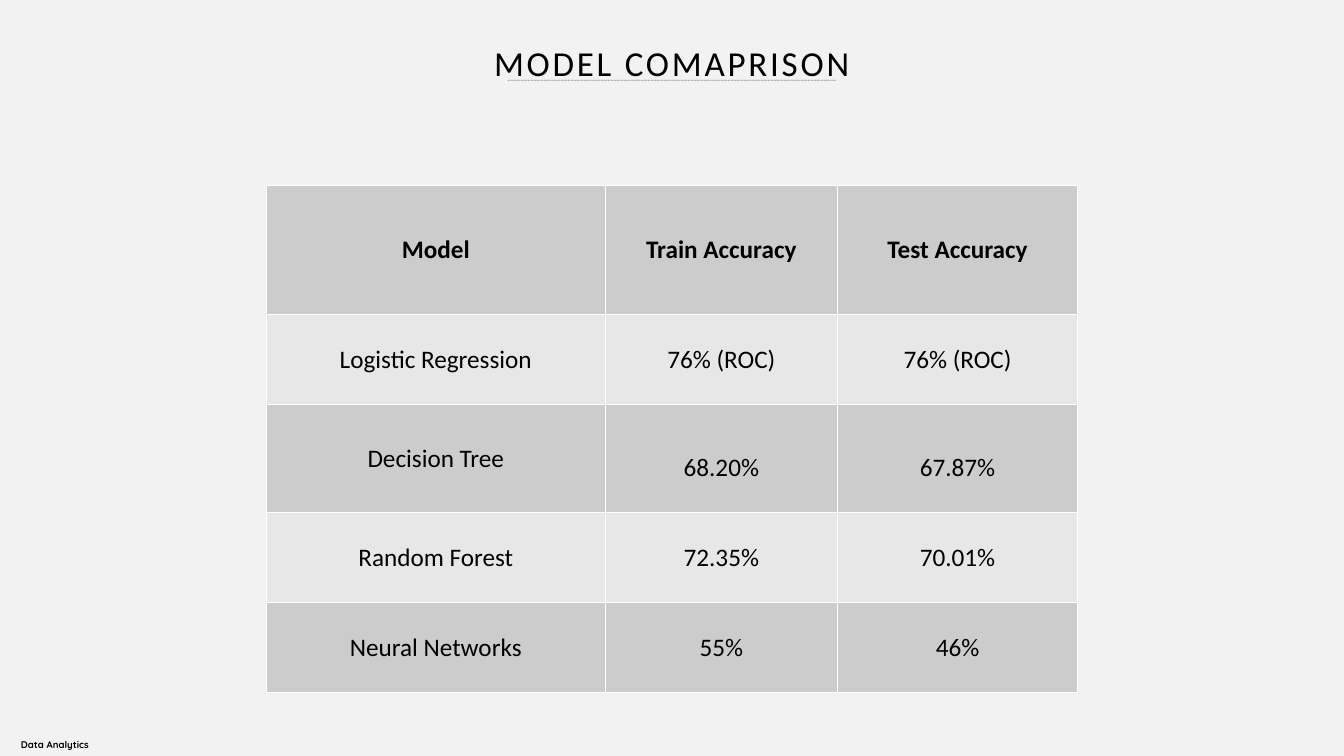
from dataclasses import dataclass

from lxml.etree import SubElement
from pptx import Presentation
from pptx.dml.color import RGBColor
from pptx.enum.dml import MSO_LINE
from pptx.enum.shapes import MSO_CONNECTOR
from pptx.enum.text import MSO_ANCHOR as Anchor, MSO_AUTO_SIZE as AutoSize, PP_ALIGN as Align
from pptx.oxml import parse_xml
from pptx.oxml.ns import nsdecls, qn
from pptx.util import Pt


@dataclass(frozen=True)
class Theme:
    background: str = "F2F2F2"
    ink: str = "000000"
    border: str = "FFFFFF"
    bands: tuple = ("CCCCCC", "E7E7E7")
    font: str = "Calibri"
    footer_font: str = "Quicksand"
    title_size: float = 25
    table_size: float = 18
    footer_size: float = 12


def write(frame, text, *, font, size, color, bold=False, align=Align.CENTER,
          line_spacing=None, tracking=None, baseline=None):
    """Fill a text frame with one formatted paragraph; tracking is in points, baseline in percent."""
    paragraph = frame.paragraphs[0]
    paragraph.alignment = align
    if line_spacing:
        paragraph.line_spacing = line_spacing
    run = paragraph.add_run()
    run.text = text
    run.font.name = font
    run.font.size = Pt(size)
    run.font.bold = bold
    run.font.color.rgb = RGBColor.from_string(color)
    properties = run.font._element
    if tracking is not None:
        properties.set("spc", str(tracking * 100))
    if baseline is not None:
        properties.set("baseline", str(baseline * 1000))


def set_margins(target, left, top, right, bottom):
    target.margin_left, target.margin_top = Pt(left), Pt(top)
    target.margin_right, target.margin_bottom = Pt(right), Pt(bottom)


class SlideBuilder:
    def __init__(self, slide, theme):
        self.slide = slide
        self.theme = theme
        fill = slide.background.fill
        fill.solid()
        fill.fore_color.rgb = RGBColor.from_string(theme.background)

    def title(self, text, left, top, width, height):
        shape = self.slide.shapes.title
        shape.left, shape.top = Pt(left), Pt(top)
        shape.width, shape.height = Pt(width), Pt(height)
        frame = shape.text_frame
        frame.auto_size = AutoSize.NONE
        frame.word_wrap = True
        frame.vertical_anchor = Anchor.MIDDLE
        set_margins(frame, 14.4, 14.4, 14.4, 14.4)
        write(frame, text, font=self.theme.font, size=self.theme.title_size,
              color=self.theme.ink, line_spacing=0.9, tracking=2)

    def footer(self, text, left, top, width, height):
        shape = self.slide.shapes.add_textbox(Pt(left), Pt(top), Pt(width), Pt(height))
        shape.text_frame.word_wrap = True
        shape.text_frame.auto_size = AutoSize.SHAPE_TO_FIT_TEXT
        write(shape.text_frame, text, font=self.theme.footer_font, size=self.theme.footer_size,
              color=self.theme.ink, bold=True, align=Align.JUSTIFY, baseline=30)

    def dotted_line(self, left, right, y, width, opacity):
        connector = self.slide.shapes.add_connector(
            MSO_CONNECTOR.STRAIGHT, Pt(left), Pt(y), Pt(right), Pt(y))
        line = connector.line
        line.width = Pt(width)
        line.color.rgb = RGBColor.from_string(self.theme.ink)
        line.dash_style = MSO_LINE.ROUND_DOT
        color = next(connector._element.iter(qn("a:srgbClr")))
        SubElement(color, qn("a:alpha")).set("val", str(opacity * 1000))
        SubElement(connector._element.spPr, qn("a:effectLst"))

    def table(self, rows, left, top, column_widths, row_heights, has_header=False, lifted=()):
        """Draw a banded table; lifted lists the (row, column) cells set low with a deep bottom margin."""
        shape = self.slide.shapes.add_table(
            len(rows), len(column_widths), Pt(left), Pt(top),
            Pt(sum(column_widths)), Pt(sum(row_heights)))
        table = shape.table
        table.first_row = has_header
        for column, width in zip(table.columns, column_widths):
            column.width = Pt(width)
        for row, height in zip(table.rows, row_heights):
            row.height = Pt(height)
        for row_index, texts in enumerate(rows):
            for column_index, text in enumerate(texts):
                self.cell(table.cell(row_index, column_index), text,
                          fill=self.theme.bands[row_index % 2],
                          bold=has_header and row_index == 0,
                          lifted=(row_index, column_index) in lifted)

    def cell(self, cell, text, fill, bold, lifted):
        cell.fill.solid()
        cell.fill.fore_color.rgb = RGBColor.from_string(fill)
        cell.vertical_anchor = Anchor.BOTTOM if lifted else Anchor.MIDDLE
        set_margins(cell, 0.7, 0.7, 0.7, 21 if lifted else 0)
        write(cell.text_frame, text, font=self.theme.font, size=self.theme.table_size,
              color=self.theme.ink, bold=bold)
        properties = cell._tc.get_or_add_tcPr()
        for position, side in enumerate("LRTB"):
            properties.insert(position, parse_xml(
                f'<a:ln{side} {nsdecls("a")} w="{Pt(1)}"><a:solidFill>'
                f'<a:srgbClr val="{self.theme.border}"/></a:solidFill></a:ln{side}>'))


def main():
    presentation = Presentation()
    presentation.slide_width, presentation.slide_height = Pt(960), Pt(540)
    title_only = presentation.slide_layouts[5]
    builder = SlideBuilder(presentation.slides.add_slide(title_only), Theme())

    left, top = 190.3, 132.4
    column_widths = (242, 166, 171.5)
    row_heights = (92, 64.3, 77.4, 64.3)
    models = [
        ("Model", "Train Accuracy", "Test Accuracy"),
        ("Logistic Regression", "76% (ROC)", "76% (ROC)"),
        ("Decision Tree", "68.20%", "67.87%"),
        ("Random Forest", "72.35%", "70.01%"),
    ]
    neural_networks = [("Neural Networks", "55%", "46%")]

    builder.title("MODEL COMAPRISON", 175.7, 0, 608.4, 93.6)
    builder.table(models, left, top, column_widths, row_heights,
                  has_header=True, lifted={(2, 1), (2, 2)})
    builder.dotted_line(363, 597.5, 57.4, width=0.5, opacity=55)
    builder.footer("Data Analytics", 7.9, 522.7, 78.5, 17.3)
    builder.table(neural_networks, left, top + sum(row_heights), column_widths, row_heights[-1:])
    presentation.save("out.pptx")


if __name__ == "__main__":
    main()
